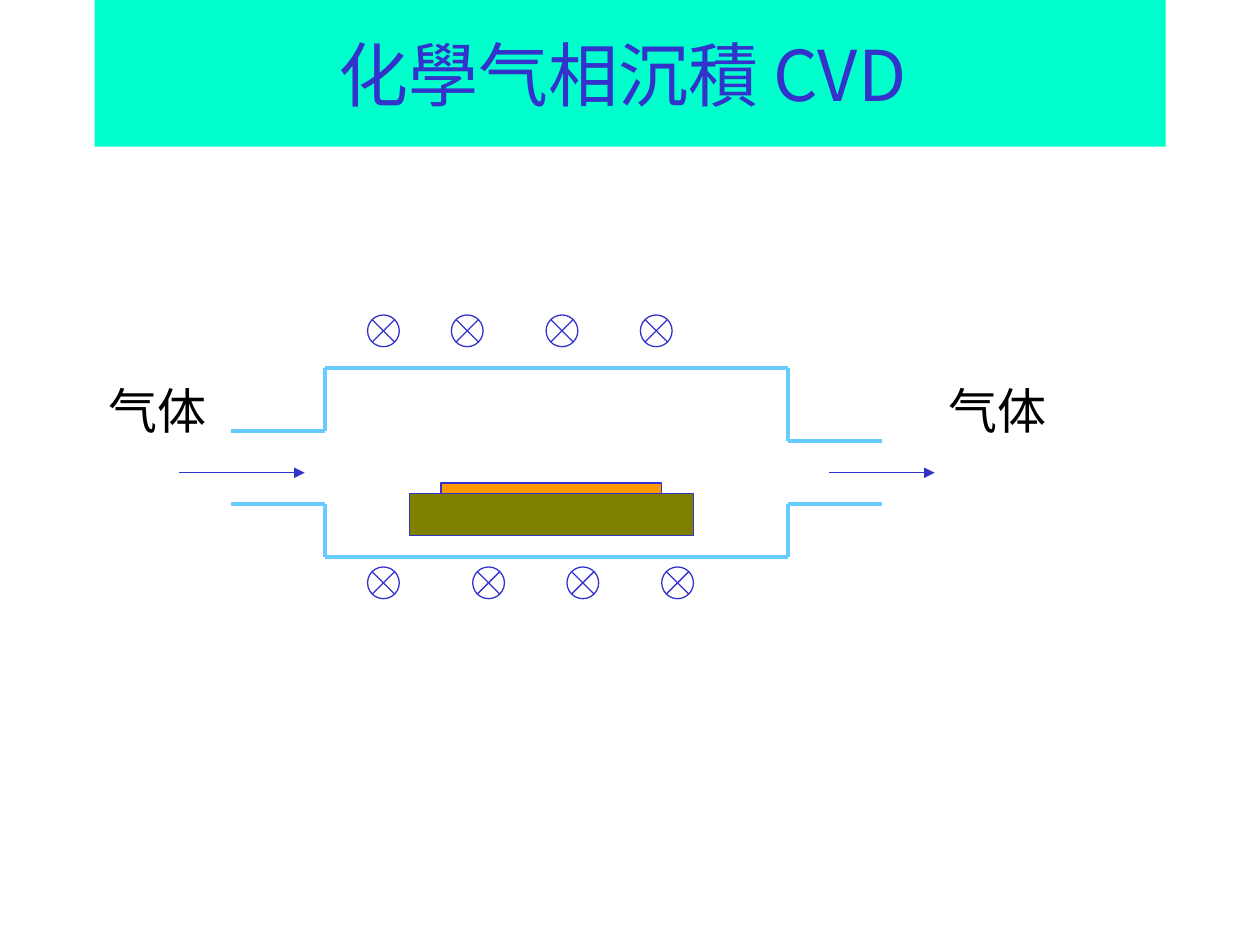
"""Build a slide showing a chemical vapour deposition chamber."""
from dataclasses import dataclass
from itertools import pairwise

from lxml import etree
from pptx import Presentation
from pptx import util as u
from pptx.dml.color import RGBColor
from pptx.enum import shapes, text
from pptx.oxml import ns


@dataclass(frozen=True)
class Theme:
    banner: str = "00FFCC"
    ink: str = "3333CC"
    wall: str = "66CCFF"
    holder: str = "808000"
    wafer: str = "FF9900"
    label: str = "000000"
    title_size: int = 40
    label_size: int = 28
    wall_width: float = 2.25
    thin_width: float = 0.75
    title_font: str = "Noto Sans CJK SC"
    label_font: str = "Times New Roman"


def write(box, wording, size, face, color, wrap):
    frame = box.text_frame
    layout = {"word_wrap": wrap, "vertical_anchor": text.MSO_ANCHOR.MIDDLE}
    for name, value in layout.items():
        setattr(frame, name, value)
    para = frame.paragraphs[0]
    para.alignment = text.PP_ALIGN.CENTER
    span = para.add_run()
    span.text = wording
    for name, value in {"size": u.Pt(size), "name": face}.items():
        setattr(span.font, name, value)
    span.font.color.rgb = RGBColor.from_string(color)
    east_asian = etree.SubElement(span.font._element, ns.qn("a:ea"))
    east_asian.set("typeface", theme.title_font)


def draw_line(start, end, color, width):
    line = page.shapes.add_connector(
        shapes.MSO_CONNECTOR.STRAIGHT, *map(u.Cm, (*start, *end)))
    line.line.color.rgb = RGBColor.from_string(color)
    line.line.width = u.Pt(width)
    etree.SubElement(line._element.spPr, ns.qn("a:effectLst"))
    return line


theme = Theme()
deck = Presentation()
deck.slide_width, deck.slide_height = u.Cm(25.4), u.Cm(19.05)
page = deck.slides.add_slide(deck.slide_layouts[6])

banner = page.shapes.add_shape(
    shapes.MSO_SHAPE.RECTANGLE, *map(u.Cm, (1.91, 0, 21.59, 2.96)))
banner.shadow.inherit = False
banner.fill.solid()
banner.fill.fore_color.rgb = RGBColor.from_string(theme.banner)
banner.line.fill.background()
write(banner, "化學气相沉積 CVD ", theme.title_size, theme.title_font, theme.ink, True)

inlet, left, right, outlet = 4.66, 6.56, 15.88, 17.78
upper_wall = [(inlet, 8.68), (left, 8.68), (left, 7.41),
              (right, 7.41), (right, 8.89), (outlet, 8.89)]
lower_wall = [(inlet, 10.16), (left, 10.16), (left, 11.22),
              (right, 11.22), (right, 10.16), (outlet, 10.16)]
for wall in (upper_wall, lower_wall):
    for start, end in pairwise(wall):
        draw_line(start, end, theme.wall, theme.wall_width)

flow_y = 9.53
for tail_x, tip_x in ((3.6, 6.14), (16.72, 18.84)):
    arrow = draw_line((tail_x, flow_y), (tip_x, flow_y), theme.ink, theme.thin_width)
    etree.SubElement(arrow.line._get_or_add_ln(), ns.qn("a:tailEnd")).set("type", "triangle")

for label_x in (1.91, 18.84):
    label = page.shapes.add_textbox(*map(u.Cm, (label_x, 7.62, 2.54, 1.27)))
    write(label, "气体", theme.label_size, theme.label_font, theme.label, False)

rectangle = shapes.MSO_SHAPE.RECTANGLE
junction = shapes.MSO_SHAPE.FLOWCHART_SUMMING_JUNCTION
coil_size = 0.64
coil_rows = {6.35: (7.41, 9.1, 11.01, 12.91), 11.43: (7.41, 9.53, 11.43, 13.34)}
parts = [(rectangle, (8.26, 9.95, 5.72, 0.85), theme.holder),
         (rectangle, (8.89, 9.74, 4.45, 0.21), theme.wafer)]
parts += [(junction, (x, y, coil_size, coil_size), None)
          for y, row in coil_rows.items() for x in row]
for kind, place, color in parts:
    part = page.shapes.add_shape(kind, *map(u.Cm, place))
    part.shadow.inherit = False
    part.line.color.rgb = RGBColor.from_string(theme.ink)
    part.line.width = u.Pt(theme.thin_width)
    if color:
        part.fill.solid()
        part.fill.fore_color.rgb = RGBColor.from_string(color)
    else:
        part.fill.background()

deck.save("out.pptx")
